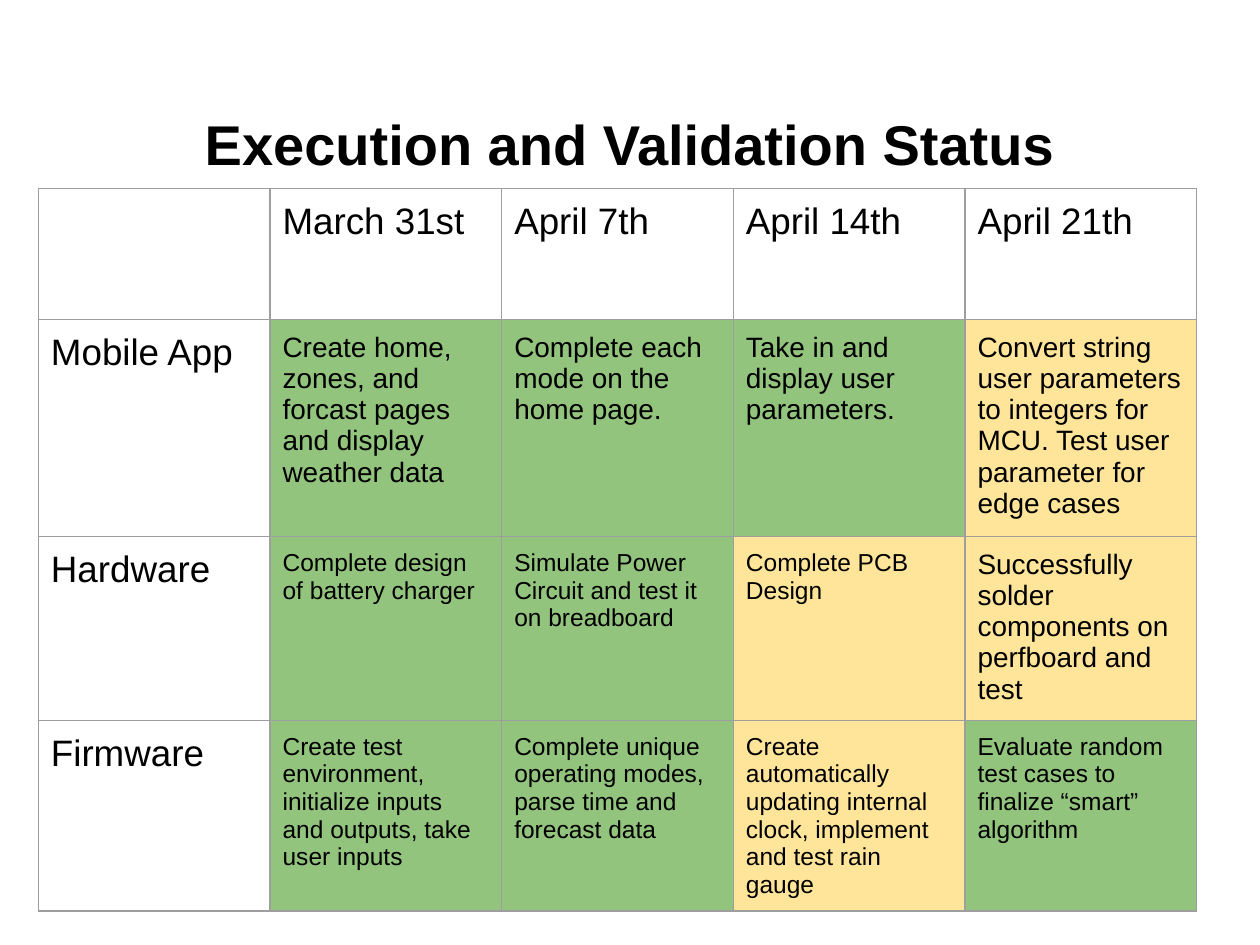
from lxml import etree
from pptx import Presentation
from pptx.dml.color import RGBColor
from pptx.enum import text
from pptx.oxml import ns
from pptx.util import Pt

BLACK = RGBColor(0x00, 0x00, 0x00)
GREY = RGBColor(0x9E, 0x9E, 0x9E)
GREEN = RGBColor(0x93, 0xC4, 0x7D)
YELLOW = RGBColor(0xFF, 0xE5, 0x99)
FONT = "Arial"
HEADING_SIZE = 21
INSET = 7.2

DATES = ["March 31st", "April 7th", "April 14th", "April 21th"]
# Each task: wording, text size, status colour
TRACKS = [
    ("Mobile App", 124, [
        ("Create home, zones, and forcast pages and display weather data", 16, GREEN),
        ("Complete each mode on the home page.", 16, GREEN),
        ("Take in and display user parameters.", 16, GREEN),
        ("Convert string user parameters to integers for MCU. "
         "Test user parameter for edge cases", 16, YELLOW),
    ]),
    ("Hardware", 105, [
        ("Complete design of battery charger", 14, GREEN),
        ("Simulate Power Circuit and test it on breadboard", 14, GREEN),
        ("Complete PCB Design", 14, YELLOW),
        ("Successfully solder components on perfboard and test", 16, YELLOW),
    ]),
    ("Firmware", 105, [
        ("Create test environment, initialize inputs and outputs, "
         "take user inputs", 14, GREEN),
        ("Complete unique operating modes, parse time and forecast data", 14, GREEN),
        ("Create automatically updating internal clock, "
         "implement and test rain gauge", 14, YELLOW),
        ("Evaluate random test cases to finalize “smart” algorithm", 14, GREEN),
    ]),
]


def format_font(font, size, bold=False):
    font.name, font.size, font.bold = FONT, Pt(size), bold
    font.color.rgb = BLACK


def place_title(slide, wording, left, top, width, height):
    sp = slide.shapes.title
    sp.left, sp.top, sp.width, sp.height = Pt(left), Pt(top), Pt(width), Pt(height)
    tf = sp.text_frame
    tf.text = wording
    tf.auto_size = text.MSO_AUTO_SIZE.NONE
    tf.vertical_anchor = text.MSO_ANCHOR.MIDDLE
    p = tf.paragraphs[0]
    p.alignment = text.PP_ALIGN.CENTER
    format_font(p.font, 32, bold=True)


def add_borders(cell):
    tc_pr = cell._tc.get_or_add_tcPr()
    for side in ("a:lnL", "a:lnR", "a:lnT", "a:lnB"):
        ln = etree.SubElement(tc_pr, ns.qn(side), w=str(Pt(0.75)))
        fill = etree.SubElement(ln, ns.qn("a:solidFill"))
        etree.SubElement(fill, ns.qn("a:srgbClr"), val=str(GREY))


def fill_cell(cell, wording, size, colour):
    cell.margin_left = cell.margin_right = Pt(INSET)
    cell.margin_top = cell.margin_bottom = Pt(INSET)
    add_borders(cell)
    if colour is None:
        cell.fill.background()
    else:
        cell.fill.solid()
        cell.fill.fore_color.rgb = colour
    cell.text = wording
    format_font(cell.text_frame.paragraphs[0].font, size)


def add_status_table(slide, left, top, width, header_height):
    def heading(wording):
        return wording, HEADING_SIZE, None

    rows = [[heading(wording) for wording in ["", *DATES]]]
    rows += [[heading(name), *tasks] for name, _, tasks in TRACKS]
    heights = [header_height] + [height for _, height, _ in TRACKS]
    table = slide.shapes.add_table(
        len(rows), len(rows[0]), Pt(left), Pt(top), Pt(width), Pt(sum(heights))).table
    table.first_row = table.horz_banding = False
    for row, height, cells in zip(table.rows, heights, rows):
        row.height = Pt(height)
        for cell, content in zip(row.cells, cells):
            fill_cell(cell, *content)


def main():
    prs = Presentation()
    prs.slide_width, prs.slide_height = Pt(720), Pt(540)
    slide = prs.slides.add_slide(prs.slide_layouts[5])
    place_title(slide, "Execution and Validation Status", 36, 50, 648, 63)
    add_status_table(slide, 21.9, 107.8, 662, 75)
    prs.save("out.pptx")


if __name__ == "__main__":
    main()
